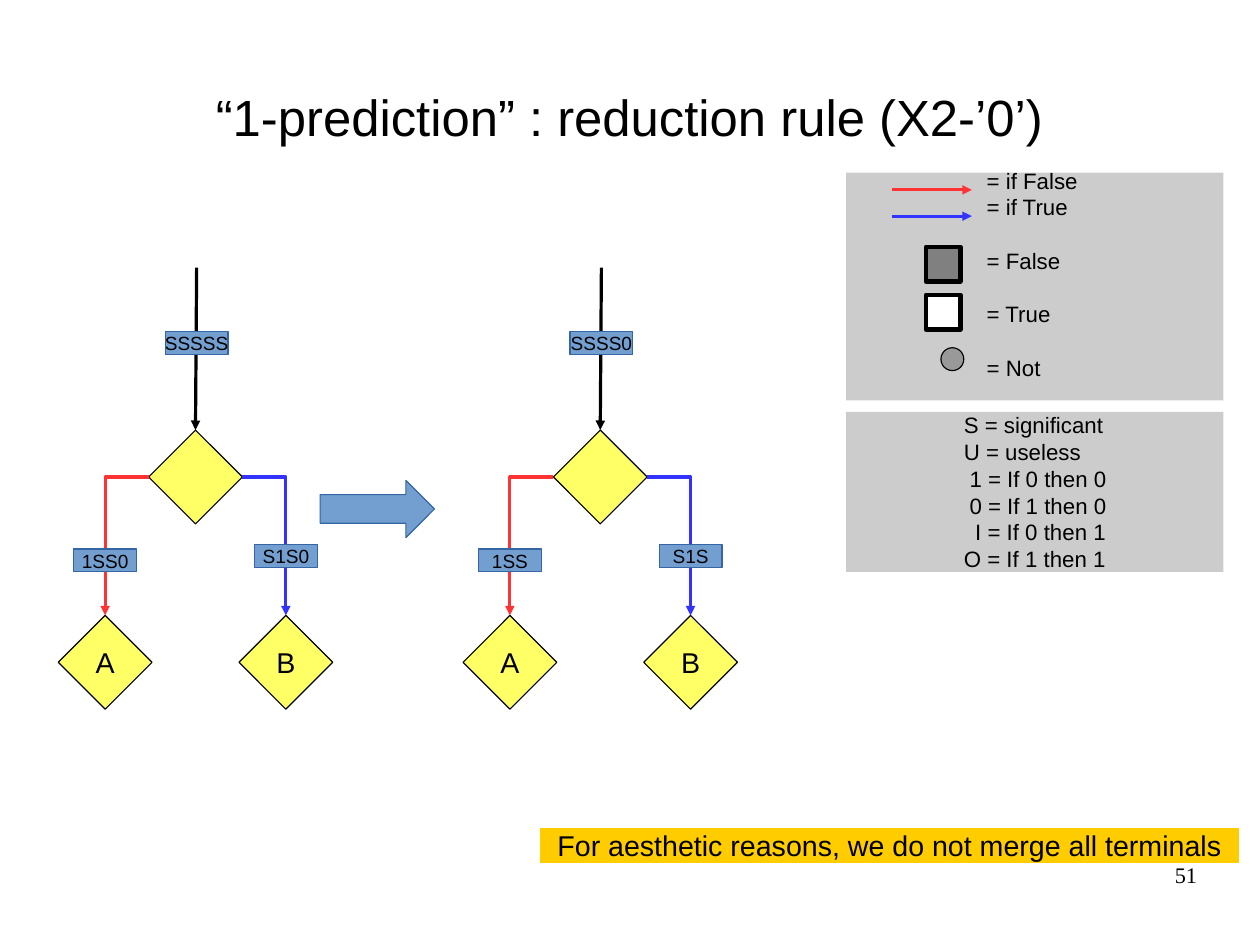
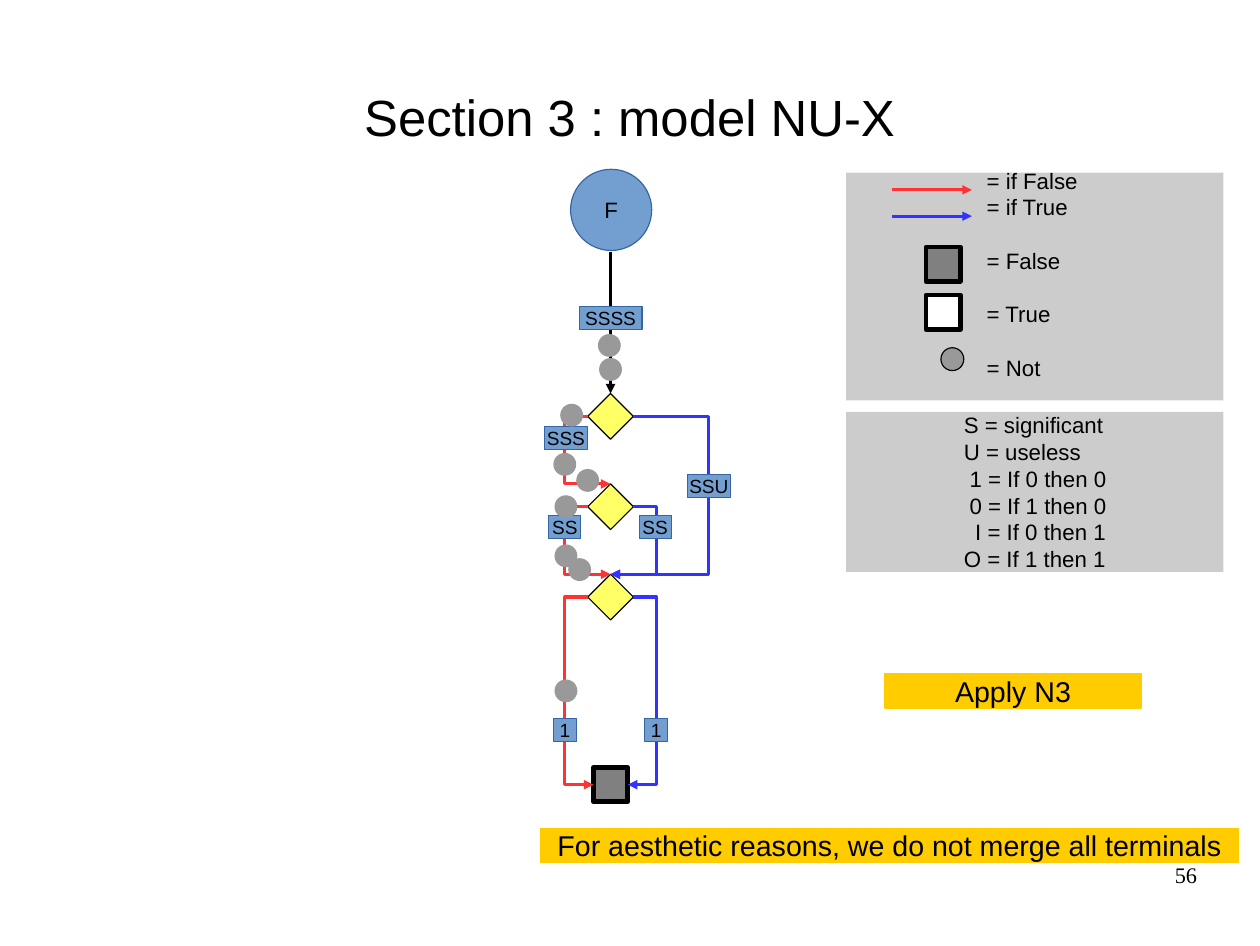
from lxml import etree
from pptx import Presentation
from pptx.dml.color import RGBColor
from pptx.enum.shapes import MSO_CONNECTOR, MSO_SHAPE
from pptx.enum.text import MSO_ANCHOR, PP_ALIGN
from pptx.oxml.ns import qn
from pptx.util import Inches, Pt

RECT, OVAL = MSO_SHAPE.RECTANGLE, MSO_SHAPE.OVAL
DIAMOND, ARROW = MSO_SHAPE.DIAMOND, MSO_SHAPE.RIGHT_ARROW
STRAIGHT, ELBOW = MSO_CONNECTOR.STRAIGHT, MSO_CONNECTOR.ELBOW
LEFT, CENTER, RIGHT = PP_ALIGN.LEFT, PP_ALIGN.CENTER, PP_ALIGN.RIGHT
TOP, MIDDLE = MSO_ANCHOR.TOP, MSO_ANCHOR.MIDDLE

BLACK, WHITE = "000000", "FFFFFF"
RED, BLUE = "FF3333", "3333FF"
YELLOW, GOLD = "FFFF66", "FFCC00"
STEEL, NAVY = "729FCF", "3465A4"
PALE, GREY, DARK = "CCCCCC", "999999", "808080"

# Legend rows: text, left indent in inches, space before in points
KEYS = [("= if False", 0, 0), ("= if True", 0, 0), ("= False", 0, 16.8),
        ("= True", 0, 16.8), ("= Not", 0, 16.8)]
CODES = [("S = significant", 0, 0), ("U = useless", 0, 0),
         ("1 = If 0 then 0", 0.05, 0), ("0 = If 1 then 0", 0.05, 0),
         ("I = If 0 then 1", 0.1, 0), ("O = If 1 then 1", 0, 0)]


def paint(target, color):
    """Give a fill, line or font colour format a hex colour."""
    target.rgb = RGBColor.from_string(color)


def write(shape, rows, size=18, font="Arial", align=CENTER, anchor=MIDDLE,
          wrap=False, inset=0):
    """Fill a shape with text: one string, or (text, indent, before) rows."""
    frame = shape.text_frame
    frame.word_wrap = wrap
    frame.vertical_anchor = anchor
    frame.margin_left = Inches(inset)
    frame.margin_right = frame.margin_top = frame.margin_bottom = 0
    rows = [(rows, 0, 0)] if isinstance(rows, str) else rows
    for i, (text, indent, before) in enumerate(rows):
        para = frame.paragraphs[0] if i == 0 else frame.add_paragraph()
        para.alignment = align
        if indent:
            para._p.get_or_add_pPr().set("marL", str(Inches(indent)))
        if before:
            para.space_before = Pt(before)
        run = para.add_run()
        run.text = text
        run.font.name = font
        run.font.size = Pt(size)
        paint(run.font.color, BLACK)


def label(slide, x, y, w, h, text, **style):
    box = slide.shapes.add_textbox(Inches(x), Inches(y), Inches(w), Inches(h))
    write(box, text, **style)


def block(slide, kind, x, y, w, h, fill, line=None, width=0, text="", **style):
    shape = slide.shapes.add_shape(kind, Inches(x), Inches(y), Inches(w), Inches(h))
    shape.shadow.inherit = False
    shape.fill.solid()
    paint(shape.fill.fore_color, fill)
    if line:
        shape.line.fill.solid()
        paint(shape.line.color, line)
        shape.line.width = Pt(width)
    else:
        shape.line.fill.background()
    if text:
        write(shape, text, **style)
    return shape


def diamond(slide, x, y, size, text=""):
    """Draw a node centred on x with its top at y."""
    return block(slide, DIAMOND, x - size / 2, y, size, size, YELLOW, BLACK, text=text)


def tag(slide, x, y, w, text):
    """Draw a small code label centred on x."""
    block(slide, RECT, x - w / 2, y, w, 0.2, STEEL, NAVY, text=text, size=12)


def note(slide, x, y, w, text):
    block(slide, RECT, x, y, w, 0.3, GOLD, GOLD, text=text)


def dot(slide, x, y, line=None):
    block(slide, OVAL, x, y, 0.2, 0.2, GREY, line)


def leaf(slide, x, y, fill):
    block(slide, RECT, x, y, 0.3, 0.3, fill, BLACK, 3)


def link(slide, start, end, color, kind=STRAIGHT):
    """Draw an arrow between two points."""
    line = slide.shapes.add_connector(kind, *map(Inches, (*start, *end)))
    paint(line.line.color, color)
    line.line.width = 0
    etree.SubElement(line.line._get_or_add_ln(), qn("a:tailEnd"), type="triangle")
    etree.SubElement(line._element.spPr, qn("a:effectLst"))
    return line


def bend(slide, start, end, color, via=None):
    """Draw an elbow through x = via, or with a single corner."""
    line = link(slide, start, end, color, ELBOW)
    geom = line._element.spPr.find(qn("a:prstGeom"))
    if via is None:
        geom.set("prst", "bentConnector2")
    else:
        ratio = (via - start[0]) / (end[0] - start[0])
        guides = geom.find(qn("a:avLst"))
        if guides is None:
            guides = etree.SubElement(geom, qn("a:avLst"))
        etree.SubElement(guides, qn("a:gd"), name="adj1",
                         fmla=f"val {round(ratio * 100000)}")
    return line


def legend(slide):
    block(slide, RECT, 7.4, 3.6, 3.3, 1.4, PALE, text=CODES, size=14,
          align=LEFT, inset=1.03)
    block(slide, RECT, 7.4, 1.51, 3.3, 1.99, PALE)
    label(slide, 8.63, 1.46, 1.5, 1.9, KEYS, size=14, align=LEFT, anchor=TOP)
    for y, color in ((1.66, RED), (1.89, BLUE)):
        link(slide, (7.8, y), (8.5, y), color)
    for y, fill in ((2.16, DARK), (2.58, WHITE)):
        leaf(slide, 8.1, y, fill)
    dot(slide, 8.23, 3.04, BLACK)


def start(deck, title, number):
    """Add a slide with the shared title, legend, note and number."""
    slide = deck.slides.add_slide(deck.slide_layouts[6])
    label(slide, 0.55, 0.33, 9.92, 1.38, title, size=32, wrap=True)
    legend(slide)
    note(slide, 4.73, 7.24, 6.1, "For aesthetic reasons, we do not merge all terminals")
    label(slide, 7.9, 7.53, 2.57, 0.57, number, size=14, font="Times New Roman",
          align=RIGHT, anchor=TOP, wrap=True)
    return slide


def tree(slide, x, root, left, right):
    """Draw a node at x with its two children and the codes on its edges."""
    top = diamond(slide, x, 3.76, 0.82)
    trunk = link(slide, (x + 0.01, 2.34), (x, 3.76), BLACK)
    trunk.end_connect(top, 0)
    tag(slide, x + 0.01, 2.9, 0.55, root)
    sides = ((-1, 1, RED, "A", left, 4.8), (1, 3, BLUE, "B", right, 4.76))
    for sign, site, color, name, code, y in sides:
        end = x + sign * 0.79
        child = diamond(slide, end, 5.38, 0.82, name)
        edge = bend(slide, (x + sign * 0.41, 4.17), (end, 5.38), color)
        edge.begin_connect(top, site)
        edge.end_connect(child, 0)
        tag(slide, end, y, 0.55, code)


def rule(deck):
    slide = start(deck, "“1-prediction” : reduction rule (X2-’0’)", "51")
    tree(slide, 1.71, "SSSSS", "1SS0", "S1S0")
    tree(slide, 5.25, "SSSS0", "1SS", "S1S")
    block(slide, ARROW, 2.8, 4.2, 1, 0.5, STEEL, NAVY)


def model(deck):
    slide = start(deck, "Section 3 : model NU-X", "56")
    mid, west, east = 5.34, 4.94, 5.74
    tops = [3.44 + 0.79 * i for i in range(3)]
    nodes = [diamond(slide, mid, y, 0.4) for y in tops]
    first, second, third = [y + 0.2 for y in tops]
    block(slide, OVAL, 4.99, 1.48, 0.71, 0.71, STEEL, NAVY, text="F", size=14)
    leaf(slide, 5.19, 6.71, DARK)
    trunk = link(slide, (mid, 2.2), (mid, tops[0]), BLACK)
    trunk.end_connect(nodes[0], 0)

    edges = [(first, mid, tops[1], RED, west), (first, mid, tops[2], BLUE, 6.2),
             (second, mid, tops[2], RED, west), (second, mid, tops[2], BLUE, east),
             (third, 5.19, 6.86, RED, west), (third, 5.49, 6.86, BLUE, east)]
    for y, x, end, color, via in edges:
        side = -0.2 if via < mid else 0.2
        bend(slide, (mid + side, y), (x, end), color, via)

    for x, y, w, code in [(mid, 2.68, 0.55, "SSSS"), (4.95, 3.73, 0.38, "SSS"),
                          (6.2, 4.15, 0.38, "SSU"), (west, 4.51, 0.28, "SS"),
                          (5.73, 4.51, 0.28, "SS"), (west, 6.28, 0.2, "1"),
                          (east, 6.28, 0.2, "1")]:
        tag(slide, x, y, w, code)
    for x, y in [(5.23, 2.92), (5.24, 3.13), (4.9, 3.53), (4.84, 3.96), (5.04, 4.1),
                 (4.85, 4.33), (4.85, 4.76), (4.97, 4.88), (4.85, 5.94)]:
        dot(slide, x, y)
    note(slide, 7.74, 5.89, 2.24, "Apply N3")


def main():
    deck = Presentation()
    deck.slide_width, deck.slide_height = Inches(11.02), Inches(8.27)
    rule(deck)
    model(deck)
    deck.save("out.pptx")


if __name__ == "__main__":
    main()
